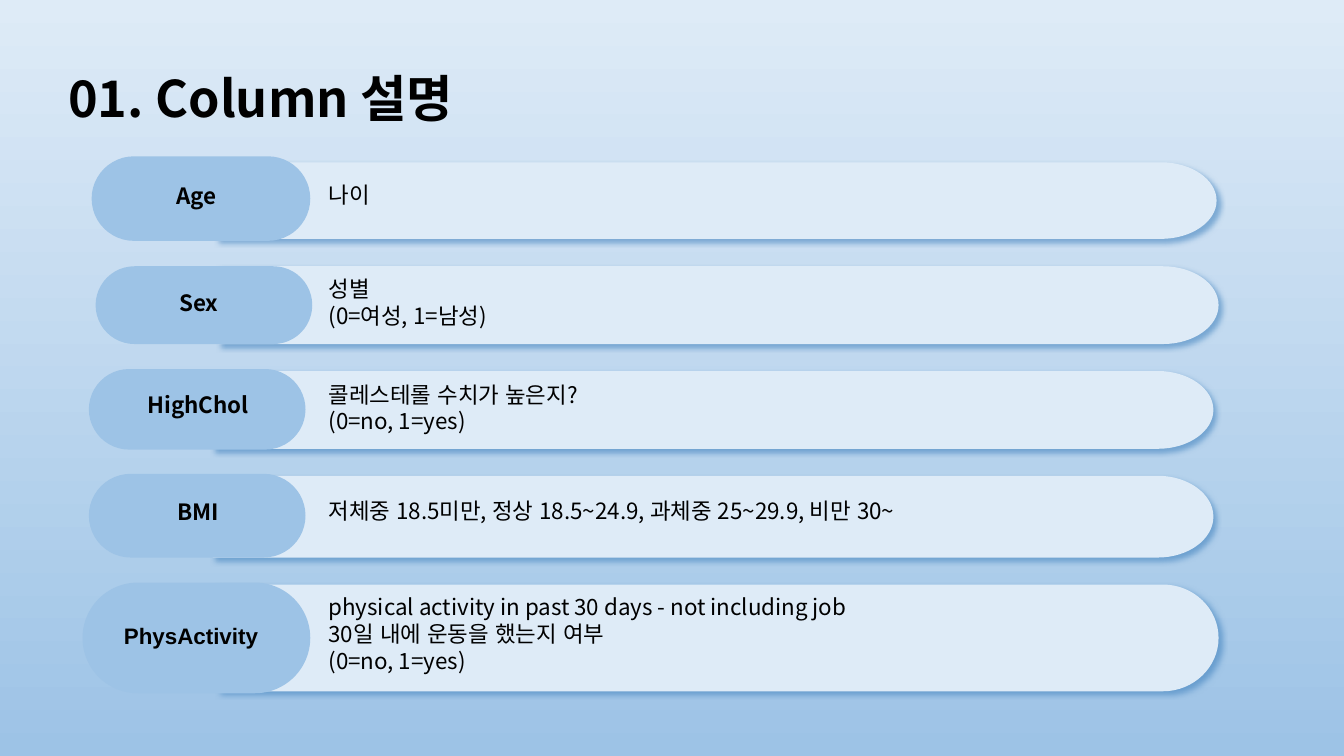
from typing import NamedTuple

from lxml import etree
from pptx import Presentation
from pptx.dml.color import RGBColor
from pptx.enum import lang, shapes, text
from pptx.oxml.ns import qn
from pptx.util import Cm, Pt

PALE_BLUE = RGBColor(0xDE, 0xEB, 0xF7)
MID_BLUE = RGBColor(0x9D, 0xC3, 0xE6)
SHADOW_BLUE = RGBColor(0x2E, 0x75, 0xB6)
BLACK = RGBColor(0, 0, 0)
KOREAN_FONT = "Noto Sans CJK KR"

BAR_WIDTH = 25.22
CAP_WIDTH = 1.4
NOTCH_INSET = 0.1
NOTCH_WIDTH = 0.92
ARC_PULL = 0.55
DESCRIPTION_LEFT = 8.03
LINE_HEIGHT = 0.69
TEXT_INSETS = 0.25


class Column(NamedTuple):
    """One described data column; boxes are in centimetres."""
    name: str
    pill: tuple          # left, top, width, height
    bar: tuple           # left, top, height
    name_box: tuple      # left, top, width
    description_box: tuple  # top, width
    description: list    # paragraphs, a line feed being a line break
    name_font: str = KOREAN_FONT


COLUMNS = [
    Column("Age", (2.31, 3.94, 5.51, 2.13), (5.44, 4.09, 1.93),
           (2.11, 4.45, 5.69), (4.45, 5.31), ["나이"]),
    Column("Sex", (2.41, 6.71, 5.46, 1.96), (5.49, 6.71, 1.96),
           (1.85, 7.16, 6.32), (6.81, 6.32), ["성별", "(0=여성, 1=남성)"]),
    Column("HighChol", (2.24, 9.3, 5.46, 2.03), (5.36, 9.35, 1.96),
           (1.83, 9.73, 6.32), (9.47, 10.87),
           ["콜레스테롤 수치가 높은지?", "(0=no, 1=yes)"]),
    Column("BMI", (2.24, 11.94, 5.46, 2.11), (5.36, 11.99, 2.06),
           (1.83, 12.42, 6.32), (12.4, 23.01),
           ["저체중 18.5미만, 정상 18.5~24.9, 과체중 25~29.9, 비만 30~"]),
    Column("PhysActivity", (2.08, 14.68, 5.74, 2.79), (5.49, 14.73, 2.69),
           (1.5, 15.54, 6.63), (14.83, 23.01),
           ["physical activity in past 30 days - not including job\n"
            "30일 내에 운동을 했는지 여부", "(0=no, 1=yes)"], "Arial"),
]


def add_run(paragraph, words, size, bold, font):
    run = paragraph.add_run()
    run.text = words
    run.font.size = Pt(size)
    run.font.bold = bold
    run.font.name = font
    run.font.language_id = lang.MSO_LANGUAGE_ID.KOREAN
    run.font.color.rgb = BLACK
    east_asian = etree.Element(qn("a:ea"), typeface=font)
    run.font._element.find(qn("a:latin")).addnext(east_asian)


def add_text(slide, box, paragraphs, size=16, bold=False, font=KOREAN_FONT,
             align=text.PP_ALIGN.LEFT, anchor=text.MSO_ANCHOR.TOP):
    frame = slide.shapes.add_textbox(*map(Cm, box)).text_frame
    frame.word_wrap = True
    frame.auto_size = text.MSO_AUTO_SIZE.SHAPE_TO_FIT_TEXT
    frame.vertical_anchor = anchor
    for index, words in enumerate(paragraphs):
        paragraph = frame.add_paragraph() if index else frame.paragraphs[0]
        paragraph.alignment = align
        for number, line in enumerate(words.split("\n")):
            if number:
                paragraph.add_line_break()
            add_run(paragraph, line, size, bold, font)
    return frame


def finish(shape):
    shape.line.fill.background()
    shape.shadow.inherit = False


def paint(shape, color):
    shape.fill.solid()
    shape.fill.fore_color.rgb = color
    finish(shape)


def add_drop_shadow(shape):
    effects = shape._element.spPr.find(qn("a:effectLst"))
    shadow = etree.SubElement(
        effects, qn("a:outerShdw"), blurRad=str(Pt(4)), dist=str(Pt(3)),
        dir=str(45 * 60000), algn="tl", rotWithShape="0")
    color = etree.SubElement(shadow, qn("a:srgbClr"), val=str(SHADOW_BLUE))
    etree.SubElement(color, qn("a:alpha"), val="50000")


def round_corner(start, end, starts_level):
    """Turn the straight step from start to end into a quarter ellipse."""
    (x0, y0), (x1, y1) = [
        (int(step[0].get("x")), int(step[0].get("y"))) for step in (start, end)]
    dx, dy = round((x1 - x0) * ARC_PULL), round((y1 - y0) * ARC_PULL)
    if starts_level:
        controls = [(x0 + dx, y0), (x1, y1 - dy)]
    else:
        controls = [(x0, y0 + dy), (x1 - dx, y1)]
    curve = etree.Element(qn("a:cubicBezTo"))
    for x, y in controls:
        etree.SubElement(curve, qn("a:pt"), x=str(x), y=str(y))
    curve.append(end[0])
    end.getparent().replace(end, curve)


def add_bar(slide, left, top, height):
    """Bar with a round right end and a round notch on its left."""
    right, bottom = left + BAR_WIDTH, top + height
    cap_left, cap_middle = right - CAP_WIDTH, top + height / 2
    notch_left = left + NOTCH_INSET
    notch_top, notch_middle, notch_bottom = (
        top + share * height for share in (0.2, 0.52, 0.84))
    corners = [(cap_left, top), (right, cap_middle), (cap_left, bottom),
               (left, bottom), (left, notch_bottom), (notch_left, notch_bottom),
               (notch_left + NOTCH_WIDTH, notch_middle),
               (notch_left, notch_top), (left, notch_top)]
    builder = slide.shapes.build_freeform(Cm(left), Cm(top), 1.0)
    builder.add_line_segments([(Cm(x), Cm(y)) for x, y in corners], close=True)
    bar = builder.convert_to_shape()

    steps = list(next(bar._element.iter(qn("a:pathLst")))[0])
    for first in (1, 6):  # the cap and the notch start after these corners
        start, tip, end = steps[first:first + 3]
        tip_point = (tip, end)
        round_corner(*tip_point, starts_level=False)
        round_corner(start, tip, starts_level=True)

    paint(bar, PALE_BLUE)
    add_drop_shadow(bar)


def add_column_row(slide, column):
    add_bar(slide, *column.bar)

    pill = slide.shapes.add_shape(shapes.MSO_SHAPE.ROUNDED_RECTANGLE,
                                  *map(Cm, column.pill))
    pill.adjustments[0] = 0.5
    paint(pill, MID_BLUE)

    add_text(slide, (*column.name_box, TEXT_INSETS + LINE_HEIGHT), [column.name],
             bold=True, font=column.name_font, align=text.PP_ALIGN.CENTER,
             anchor=text.MSO_ANCHOR.MIDDLE)

    top, width = column.description_box
    line_count = len("\n".join(column.description).split("\n"))
    add_text(slide, (DESCRIPTION_LEFT, top, width,
                     TEXT_INSETS + LINE_HEIGHT * line_count), column.description)


def add_title(slide, box):
    frame = add_text(slide, box, ["01. Column 설명"], size=36, bold=True,
                     anchor=text.MSO_ANCHOR.MIDDLE)
    frame.auto_size = text.MSO_AUTO_SIZE.NONE
    frame.paragraphs[0].line_spacing = 0.9


def add_backdrop(slide, box):
    backdrop = slide.shapes.add_shape(shapes.MSO_SHAPE.RECTANGLE, *map(Cm, box))
    backdrop.fill.gradient()
    backdrop.fill.gradient_angle = 270
    for stop, color in zip(backdrop.fill.gradient_stops, (PALE_BLUE, MID_BLUE)):
        stop.color.rgb = color
    finish(backdrop)


def main():
    deck = Presentation()
    deck.slide_width, deck.slide_height = Cm(33.87), Cm(19.05)
    slide = deck.slides.add_slide(deck.slide_layouts[6])
    add_backdrop(slide, (0, 0, 33.87, 19.05))
    add_title(slide, (1.47, 1.35, 30.94, 2.39))
    for column in COLUMNS:
        add_column_row(slide, column)
    deck.save("out.pptx")


if __name__ == "__main__":
    main()
